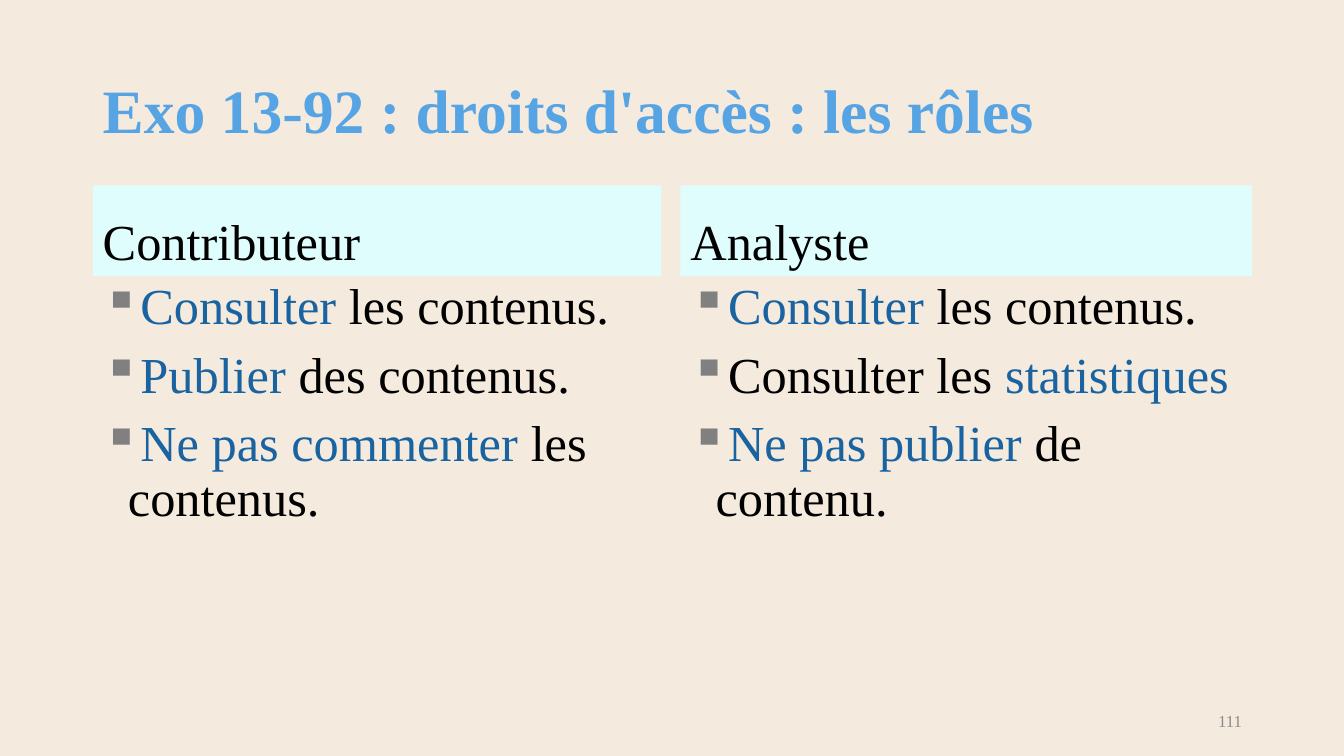
from lxml import etree
from pptx import Presentation
from pptx import util as u
from pptx.dml.color import RGBColor
from pptx.enum import shapes, text
from pptx.oxml.ns import qn

CREAM = RGBColor(0xF5, 0xEA, 0xDE)
SKY = RGBColor(0x56, 0xA4, 0xE4)
ICE = RGBColor(0xDF, 0xFD, 0xFD)
BLUE = RGBColor(0x19, 0x63, 0xA1)
BLACK = RGBColor(0, 0, 0)
GREY = RGBColor(0x8C, 0x8C, 0x8C)
BULLET_GREY = RGBColor(0x80, 0x80, 0x80)
FONT = "Times New Roman"
MARGIN = u.Cm(2.34)
HEADER_HEIGHT = u.Cm(2.29)

CONTRIBUTOR_RIGHTS = [
    [("Consulter", BLUE), (" les contenus.", BLACK)],
    [("Publier", BLUE), (" des contenus.", BLACK)],
    [("Ne pas commenter ", BLUE), ("les contenus.", BLACK)],
]
ANALYST_RIGHTS = [
    [("Consulter", BLUE), (" les contenus.", BLACK)],
    [("Consulter les ", BLACK), ("statistiques", BLUE)],
    [("Ne pas publier ", BLUE), ("de contenu.", BLACK)],
]


def add_run(paragraph, wording, size, color, bold=False):
    """Append one formatted run to a paragraph."""
    run = paragraph.add_run()
    run.text = wording
    run.font.name = FONT
    run.font.size = u.Pt(size)
    run.font.bold = bold
    run.font.color.rgb = color


def add_bullet(paragraph):
    """Give a paragraph a hanging grey square bullet."""
    properties = paragraph._p.get_or_add_pPr()
    properties.set("marL", str(u.Cm(0.635)))
    properties.set("indent", str(-u.Cm(0.635)))
    bullet_color = etree.SubElement(properties, qn("a:buClr"))
    etree.SubElement(bullet_color, qn("a:srgbClr"), val=str(BULLET_GREY))
    etree.SubElement(properties, qn("a:buChar"), char="▪")


def add_text_box(slide, left, top, width, height, anchor):
    """Add an empty wrapping text box and return its text frame."""
    frame = slide.shapes.add_textbox(left, top, width, height).text_frame
    frame.word_wrap = True
    frame.vertical_anchor = anchor
    return frame


def add_title(slide, left, top, width, height):
    """Place the slide title."""
    frame = add_text_box(slide, left, top, width, height, text.MSO_ANCHOR.MIDDLE)
    paragraph = frame.paragraphs[0]
    paragraph.line_spacing = 0.9
    add_run(paragraph, "Exo 13-92 : droits d'accès : les rôles", 44, SKY, True)


def add_role(slide, left, top, width, height, role, rights):
    """Place a role header with its bulleted rights below it."""
    header = slide.shapes.add_shape(
        shapes.MSO_SHAPE.RECTANGLE, left, top, width, HEADER_HEIGHT)
    header.shadow.inherit = False
    header.fill.solid()
    header.fill.fore_color.rgb = ICE
    header.line.fill.background()
    header.text_frame.word_wrap = True
    header.text_frame.vertical_anchor = text.MSO_ANCHOR.BOTTOM
    paragraph = header.text_frame.paragraphs[0]
    paragraph.alignment = text.PP_ALIGN.LEFT
    paragraph.line_spacing = 0.9
    add_run(paragraph, role, 36, BLACK)

    frame = add_text_box(slide, left, top + HEADER_HEIGHT, width,
                         height - HEADER_HEIGHT, text.MSO_ANCHOR.TOP)
    for index, right in enumerate(rights):
        paragraph = frame.add_paragraph() if index else frame.paragraphs[0]
        paragraph.line_spacing = 0.9
        if index:
            paragraph.space_before = u.Pt(10)
        add_bullet(paragraph)
        for wording, color in right:
            add_run(paragraph, wording, 36, color)


def add_page_number(slide, left, top, width, height):
    """Place the page number at the right of its box."""
    frame = add_text_box(slide, left, top, width, height, text.MSO_ANCHOR.MIDDLE)
    paragraph = frame.paragraphs[0]
    paragraph.alignment = text.PP_ALIGN.RIGHT
    add_run(paragraph, "111", 12, GREY)


def main():
    """Build the slide and save it."""
    presentation = Presentation()
    presentation.slide_width = u.Cm(33.87)
    presentation.slide_height = u.Cm(19.05)
    slide = presentation.slides.add_slide(presentation.slide_layouts[6])
    slide.background.fill.solid()
    slide.background.fill.fore_color.rgb = CREAM

    add_title(slide, MARGIN, u.Cm(1.01), u.Cm(29.21), u.Cm(3.68))
    top, height = u.Cm(4.67), u.Cm(12.53)
    add_role(slide, MARGIN, top, u.Cm(14.33), height,
             "Contributeur", CONTRIBUTOR_RIGHTS)
    add_role(slide, u.Cm(17.15), top, u.Cm(14.4), height,
             "Analyste", ANALYST_RIGHTS)
    add_page_number(slide, u.Cm(23.93), u.Cm(17.65), u.Cm(7.62), u.Cm(1.02))
    presentation.save("out.pptx")


if __name__ == "__main__":
    main()
